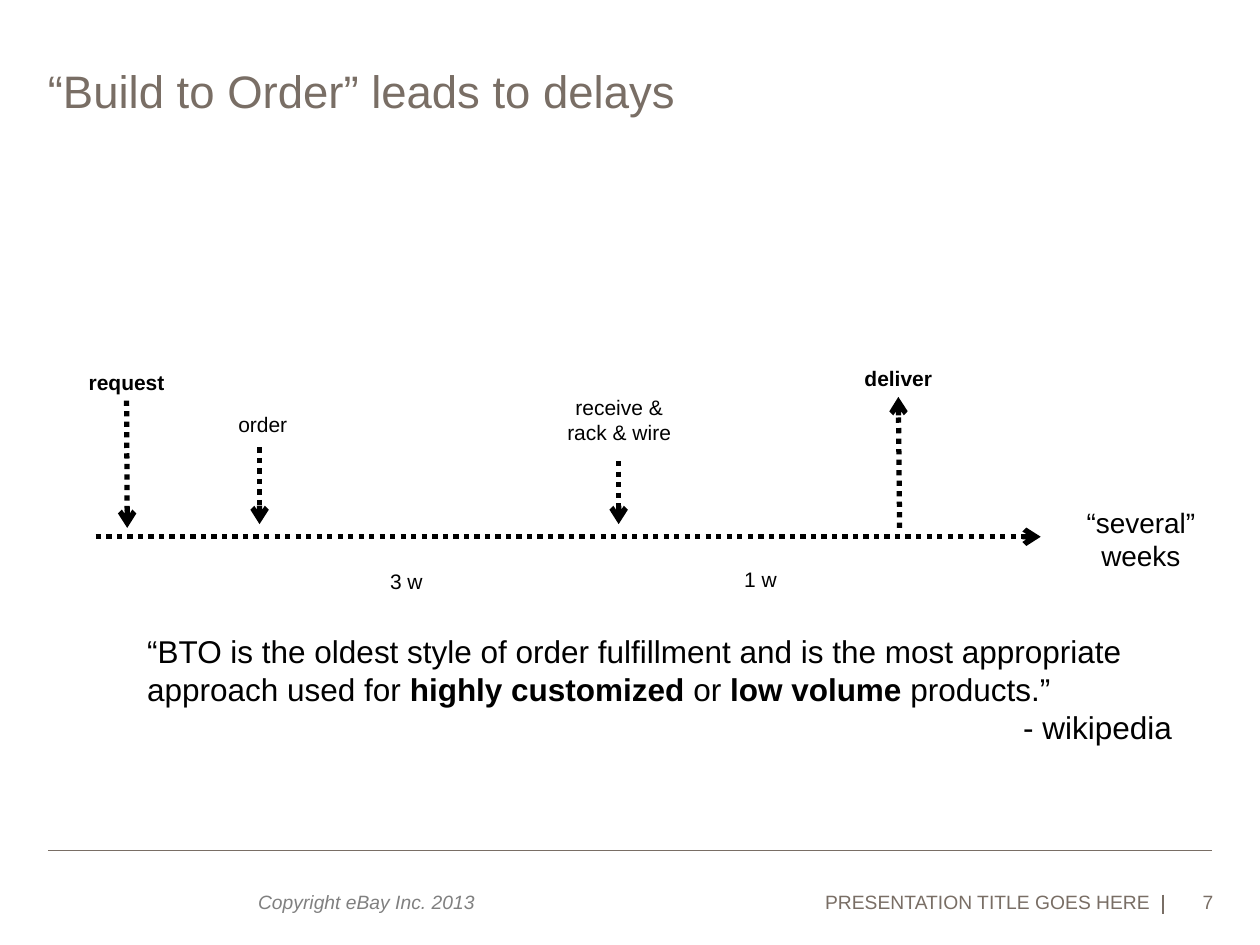
from lxml import etree
from pptx import Presentation
from pptx.dml.color import RGBColor
from pptx.enum.dml import MSO_LINE
from pptx.enum.shapes import MSO_CONNECTOR, MSO_SHAPE
from pptx.enum.text import MSO_ANCHOR, MSO_AUTO_SIZE, PP_ALIGN
from pptx.oxml.ns import qn
from pptx.util import Inches, Pt

LEFT, CENTER, RIGHT = PP_ALIGN.LEFT, PP_ALIGN.CENTER, PP_ALIGN.RIGHT
TOP, BOTTOM = MSO_ANCHOR.TOP, MSO_ANCHOR.BOTTOM
STRAIGHT = MSO_CONNECTOR.STRAIGHT
DOTTED = MSO_LINE.ROUND_DOT
BLACK = RGBColor(0x00, 0x00, 0x00)
WHITE = RGBColor(0xFF, 0xFF, 0xFF)
GRAY = RGBColor(0x80, 0x80, 0x80)
TAUPE = RGBColor(0x79, 0x6E, 0x65)

deck = Presentation()
deck.slide_width, deck.slide_height = Inches(10), Inches(7.5)
COLUMN = deck.slide_width / 100
ROW = deck.slide_height / 75
page = deck.slides.add_slide(deck.slide_layouts[6])


def add_text(area, text, size, color=BLACK, align=LEFT, anchor=TOP,
             bold=False, outlined=False, wrap=True, margins=None):
    """Place text; area is left, top, width, height in columns and rows."""
    left, top, width, height = area
    place = [int(left * COLUMN), int(top * ROW), int(width * COLUMN), int(height * ROW)]
    if outlined:
        box = page.shapes.add_shape(MSO_SHAPE.RECTANGLE, *place)
        box.shadow.inherit = False
        box.fill.background()
        box.line.color.rgb = WHITE
        box.line.width = Pt(0.75)
    else:
        box = page.shapes.add_textbox(*place)
    frame = box.text_frame
    frame.text = text
    frame.word_wrap = wrap
    frame.vertical_anchor = anchor
    if margins is None:
        frame.auto_size = MSO_AUTO_SIZE.SHAPE_TO_FIT_TEXT
    else:
        frame.margin_left = frame.margin_right = frame.margin_bottom = 0
        frame.margin_top = Inches(margins)
    for para in frame.paragraphs:
        para.alignment = align
        for span in para.runs:
            span.font.name = "Arial"
            span.font.size = Pt(size)
            span.font.bold = bold
            span.font.color.rgb = color
    return box


def add_line(start, end, color=BLACK, width=3, arrow=True):
    """Draw a plain rule, or a dotted arrow, between two (column, row) points."""
    line = page.shapes.add_connector(
        STRAIGHT, int(start[0] * COLUMN), int(start[1] * ROW),
        int(end[0] * COLUMN), int(end[1] * ROW))
    line.line.color.rgb = color
    line.line.width = Pt(width)
    if arrow:
        line.line.dash_style = DOTTED
        etree.SubElement(line.line._get_or_add_ln(), qn("a:tailEnd"), type="arrow")
    etree.SubElement(line._element.spPr, qn("a:effectLst"))
    return line


# Title and footer
add_text((3.8, 5, 92.4, 10.1), "“Build to Order” leads to delays", 26, TAUPE, margins=0)
add_line((3.8, 67.5), (96.2, 67.5), TAUPE, 1, arrow=False)
add_line((92.3, 71), (92.3, 72.5), TAUPE, 1, arrow=False)
notice = add_text((19.5, 70.2, 19.7, 2.9), "Copyright eBay Inc. 2013", 11, GRAY, wrap=False)
notice.text_frame.paragraphs[0].runs[0].font.italic = True
for area, text in (((54.7, 69.7, 36.6, 2.8), "PRESENTATION TITLE GOES HERE"),
                   ((92.3, 69.8, 4, 2.7), "7")):
    add_text(area, text, 11, TAUPE, RIGHT, BOTTOM, margins=0.05)

# Timeline
add_line((7.6, 42.6), (82.6, 42.6))
for column, row in ((20.6, 35.5), (49.1, 36.6)):
    add_line((column, row), (column, 41.6))

labels = {}
for area, text, size, bold, outlined in (
        ((6, 28.8, 8.1, 3), "request", 12, True, False),
        ((17.9, 32.2, 5.9, 3), "order", 12, False, False),
        ((44, 30.8, 10.3, 5), "receive &\vrack & wire", 12, False, True),
        ((67.6, 28.5, 7.4, 3), "deliver", 12, True, True),
        ((29.9, 44.6, 4.7, 3), "3 w", 12, False, True),
        ((58, 44.5, 4.7, 3), "1 w", 12, False, True),
        ((85.2, 39.6, 10.7, 6.4), "“several”\nweeks", 16, False, True)):
    labels[text] = add_text(area, text, size, align=CENTER, bold=bold,
                            outlined=outlined, wrap=False)

request_arrow = add_line((10.1, 31.8), (10.1, 41.9))
request_arrow.begin_connect(labels["request"], 2)
deliver_arrow = add_line((71.4, 41.9), (71.3, 31.6))
deliver_arrow.end_connect(labels["deliver"], 2)

# Quotation
quote = add_text((10.7, 49.7, 83.3, 10.1), "", 18)
quote_para = quote.text_frame.paragraphs[0]
source_para = quote.text_frame.add_paragraph()
source_para.alignment = RIGHT
for para, text, bold in (
        (quote_para, "“BTO is the oldest style of order fulfillment and is the most "
                     "appropriate approach used for ", False),
        (quote_para, "highly customized ", True),
        (quote_para, "or ", False),
        (quote_para, "low volume ", True),
        (quote_para, "products.”", False),
        (source_para, "- wikipedia", False)):
    span = para.add_run()
    span.text = text
    span.font.name = "Arial"
    span.font.size = Pt(18)
    span.font.bold = bold
    span.font.color.rgb = BLACK

deck.save("out.pptx")
